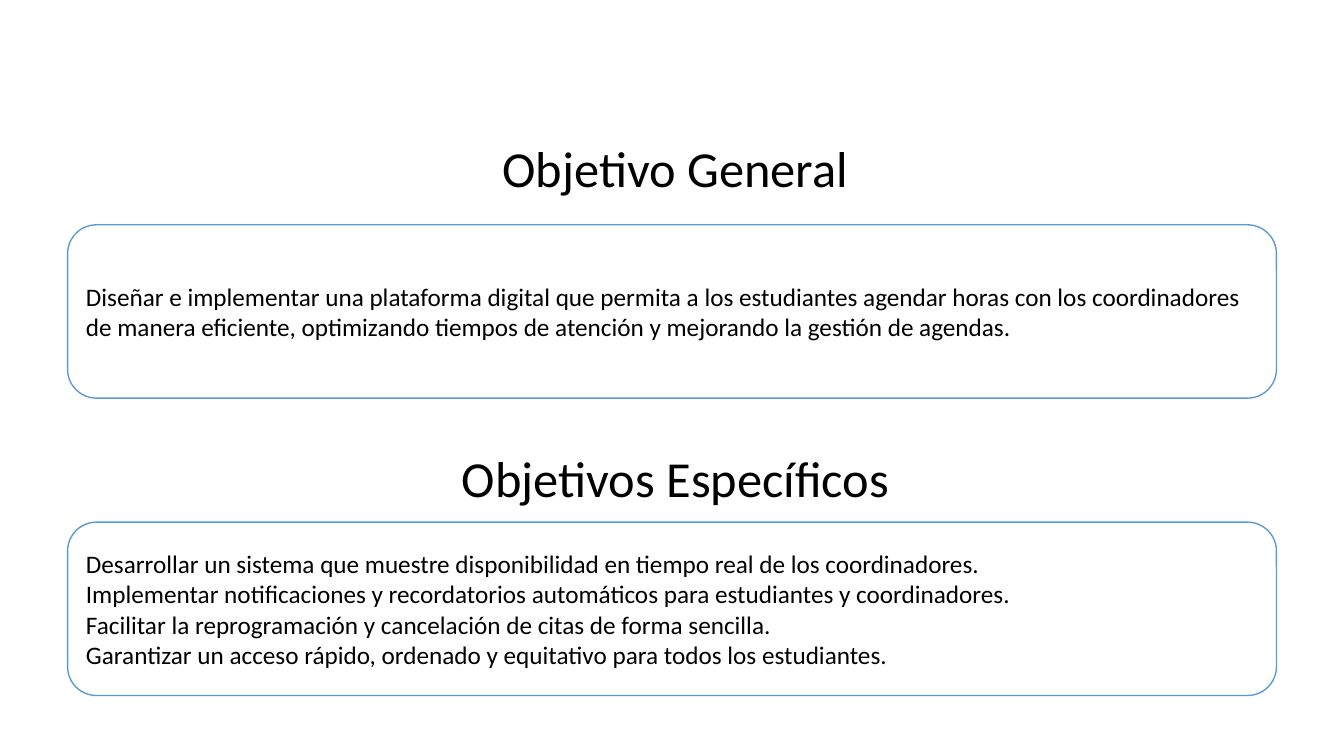
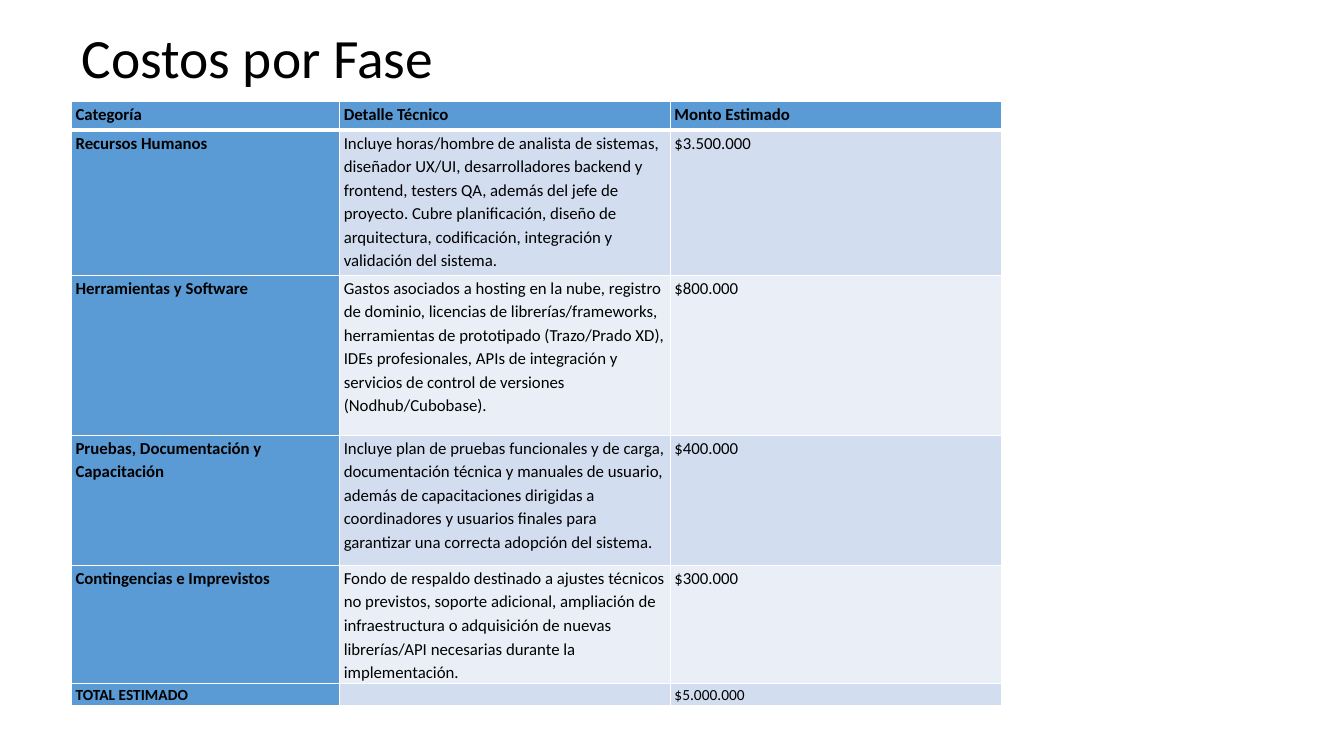
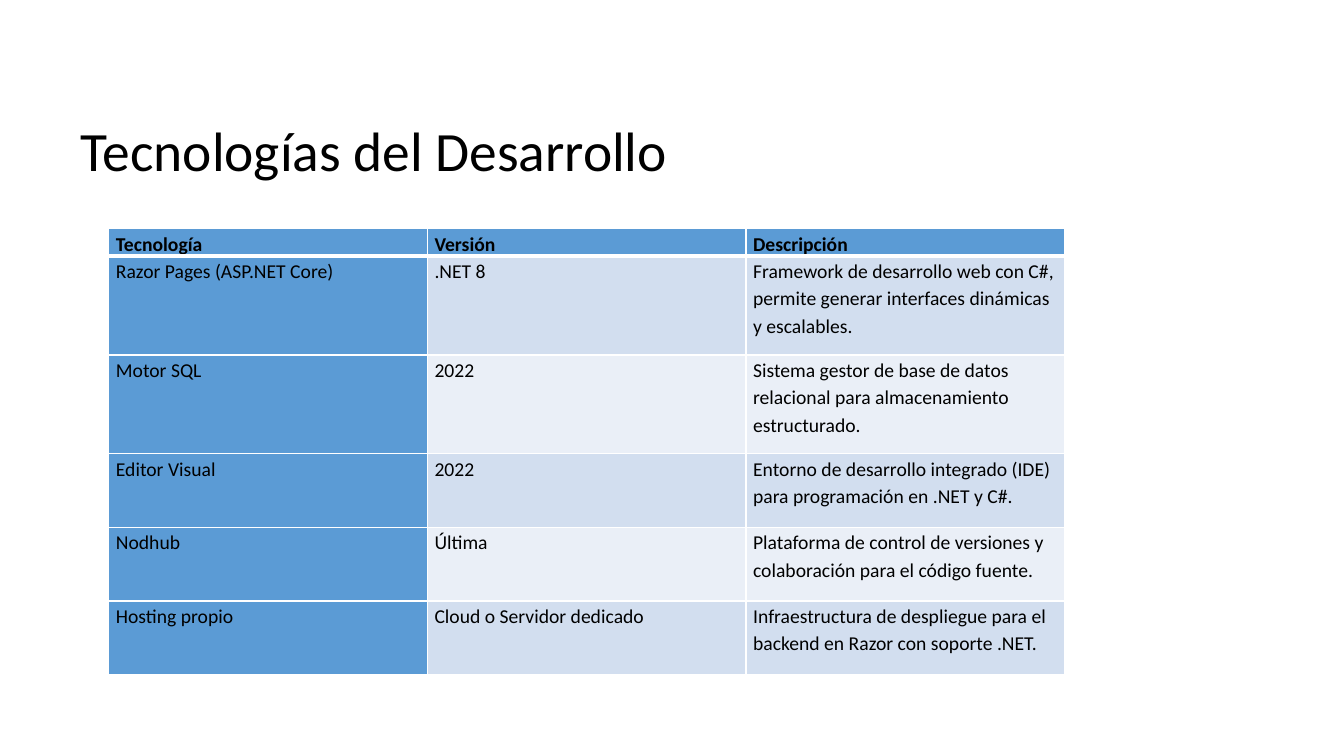
from lxml.etree import SubElement
from pptx import Presentation
from pptx.dml.color import RGBColor
from pptx.enum.shapes import MSO_SHAPE
from pptx.enum.text import MSO_ANCHOR, MSO_AUTO_SIZE, PP_ALIGN
from pptx.oxml.ns import qn
from pptx.util import Inches, Pt

FONT = "Calibri"
BLACK, WHITE, BLUE = "000000", "FFFFFF", "5B9BD5"
BANDS = ["D2DEEF", "EAEFF7"]
TITLE_LAYOUT, BLANK_LAYOUT = 5, 6

TITLE = {"alignment": PP_ALIGN.LEFT, "line_spacing": 0.9}
HEADING = {"alignment": PP_ALIGN.CENTER}
BODY = {"alignment": PP_ALIGN.LEFT}
CELL = {"line_spacing": 1.15, "space_after": Pt(10)}


def color(hex_value):
    return RGBColor.from_string(hex_value)


def write_text(frame, lines, size, paragraph_format, bold=False):
    """Fill a text frame with one paragraph per line, all in the same style."""
    font_format = {"name": FONT, "size": Pt(size), "bold": bold}
    frame.word_wrap = True
    for index, line in enumerate(lines):
        paragraph = frame.add_paragraph() if index else frame.paragraphs[0]
        for name, value in paragraph_format.items():
            setattr(paragraph, name, value)
        if not line:
            # An empty line takes its height from the end mark
            SubElement(paragraph._p, qn("a:endParaRPr"), sz=str(size * 100))
            continue
        run = paragraph.add_run()
        run.text = line
        for name, value in font_format.items():
            setattr(run.font, name, value)
        run.font.color.rgb = color(BLACK)


presentation = Presentation()
presentation.slide_width = Inches(13.33)
presentation.slide_height = Inches(7.5)

# Objectives: heading top, heading, box top, box lines
objectives = [
    (1.31, "Objetivo General", 2.23, [
        "Diseñar e implementar una plataforma digital que permita a los estudiantes agendar horas "
        "con los coordinadores de manera eficiente, optimizando tiempos de atención y mejorando "
        "la gestión de agendas.",
    ]),
    (4.39, "Objetivos Específicos", 5.18, [
        "Desarrollar un sistema que muestre disponibilidad en tiempo real de los coordinadores.",
        "Implementar notificaciones y recordatorios automáticos para estudiantes y coordinadores.",
        "Facilitar la reprogramación y cancelación de citas de forma sencilla.",
        "Garantizar un acceso rápido, ordenado y equitativo para todos los estudiantes.",
    ]),
]
slide = presentation.slides.add_slide(presentation.slide_layouts[BLANK_LAYOUT])
for heading_top, heading, box_top, lines in objectives:
    box = slide.shapes.add_shape(
        MSO_SHAPE.ROUNDED_RECTANGLE, Inches(0.67), Inches(box_top), Inches(11.99), Inches(1.72))
    box.shadow.inherit = False
    box.fill.solid()
    box.fill.fore_color.rgb = color(WHITE)
    box.line.color.rgb = color(BLUE)
    box.line.width = Pt(1)
    box.text_frame.vertical_anchor = MSO_ANCHOR.MIDDLE
    write_text(box.text_frame, lines, 18, BODY)

    label = slide.shapes.add_textbox(
        Inches(0.17), Inches(heading_top), Inches(13.06), Inches(0.71))
    label.text_frame.auto_size = MSO_AUTO_SIZE.SHAPE_TO_FIT_TEXT
    write_text(label.text_frame, [heading], 36, HEADING)

# Slides with a title and a table
table_slides = [
    {
        "title": "Costos por Fase",
        "title_box": (0.71, 0.28, 11.5, 0.64),
        "position": (0.71, 1.01),
        "columns": [2.66, 3.28, 3.28],
        "heights": [0.28, 1.44, 1.59, 1.29, 1.17, 0.22],
        "inset": 0.04,
        "sizes": [12, 12, 12, 12, 12, 11],
        "bold_first_column": True,
        "rows": [
            ("Categoría", "Detalle Técnico", "Monto Estimado"),
            ("Recursos Humanos",
             "Incluye horas/hombre de analista de sistemas, diseñador UX/UI, desarrolladores "
             "backend y frontend, testers QA, además del jefe de proyecto. Cubre planificación, "
             "diseño de arquitectura, codificación, integración y validación del sistema.",
             "$3.500.000"),
            ("Herramientas y Software",
             "Gastos asociados a hosting en la nube, registro de dominio, licencias de "
             "librerías/frameworks, herramientas de prototipado (Trazo/Prado XD), IDEs "
             "profesionales, APIs de integración y servicios de control de versiones "
             "(Nodhub/Cubobase).",
             "$800.000"),
            ("Pruebas, Documentación y Capacitación",
             "Incluye plan de pruebas funcionales y de carga, documentación técnica y manuales "
             "de usuario, además de capacitaciones dirigidas a coordinadores y usuarios finales "
             "para garantizar una correcta adopción del sistema.",
             "$400.000"),
            ("Contingencias e Imprevistos",
             "Fondo de respaldo destinado a ajustes técnicos no previstos, soporte adicional, "
             "ampliación de infraestructura o adquisición de nuevas librerías/API necesarias "
             "durante la implementación.",
             "$300.000"),
            ("TOTAL ESTIMADO", "", "$5.000.000"),
        ],
    },
    {
        "title": "Tecnologías del Desarrollo",
        "title_box": (0.7, 1.17, 11.5, 0.7),
        "position": (1.08, 2.27),
        "columns": [3.16] * 3,
        "heights": [0.27, 0.98, 0.98, 0.73, 0.73, 0.73],
        "inset": 0.07,
        "sizes": [14] * 6,
        "bold_first_column": False,
        "rows": [
            ("Tecnología", "Versión", "Descripción"),
            ("Razor Pages (ASP.NET Core)", ".NET 8",
             "Framework de desarrollo web con C#, permite generar interfaces dinámicas "
             "y escalables."),
            ("Motor SQL", "2022",
             "Sistema gestor de base de datos relacional para almacenamiento estructurado."),
            ("Editor Visual", "2022",
             "Entorno de desarrollo integrado (IDE) para programación en .NET y C#."),
            ("Nodhub", "Última",
             "Plataforma de control de versiones y colaboración para el código fuente."),
            ("Hosting propio", "Cloud o Servidor dedicado",
             "Infraestructura de despliegue para el backend en Razor con soporte .NET."),
        ],
    },
]
for content in table_slides:
    slide = presentation.slides.add_slide(presentation.slide_layouts[TITLE_LAYOUT])
    title = slide.shapes.title
    for name, value in zip(("left", "top", "width", "height"), content["title_box"]):
        setattr(title, name, Inches(value))
    title.text_frame.auto_size = MSO_AUTO_SIZE.NONE
    title.text_frame.vertical_anchor = MSO_ANCHOR.MIDDLE
    write_text(title.text_frame, [content["title"]], 39.6, TITLE)

    rows, columns, heights = content["rows"], content["columns"], content["heights"]
    left, top = content["position"]
    table = slide.shapes.add_table(
        len(rows), len(columns), Inches(left), Inches(top),
        Inches(sum(columns)), Inches(sum(heights))).table
    for column, width in zip(table.columns, columns):
        column.width = Inches(width)
    for row, height in zip(table.rows, heights):
        row.height = Inches(height)

    margins = {
        "margin_left": Inches(content["inset"]), "margin_right": Inches(content["inset"]),
        "margin_top": 0, "margin_bottom": 0,
    }
    for row_index, texts in enumerate(rows):
        is_header = row_index == 0
        for column_index, text in enumerate(texts):
            cell = table.cell(row_index, column_index)
            is_first = column_index == 0
            for name, value in margins.items():
                setattr(cell, name, value)
            for side in ("L", "R", "T", "B"):
                thick = (is_header and side == "B") or (row_index == 1 and side == "T")
                border = SubElement(cell._tc.get_or_add_tcPr(), qn(f"a:ln{side}"),
                                    w=str(Pt(3 if thick else 1)))
                SubElement(SubElement(border, qn("a:solidFill")), qn("a:srgbClr"), val=WHITE)
            cell.fill.solid()
            cell.fill.fore_color.rgb = color(
                BLUE if is_header or is_first else BANDS[(row_index - 1) % 2])
            write_text(cell.text_frame, [text], content["sizes"][row_index], CELL,
                       bold=is_header or (is_first and content["bold_first_column"]))

presentation.save("out.pptx")
